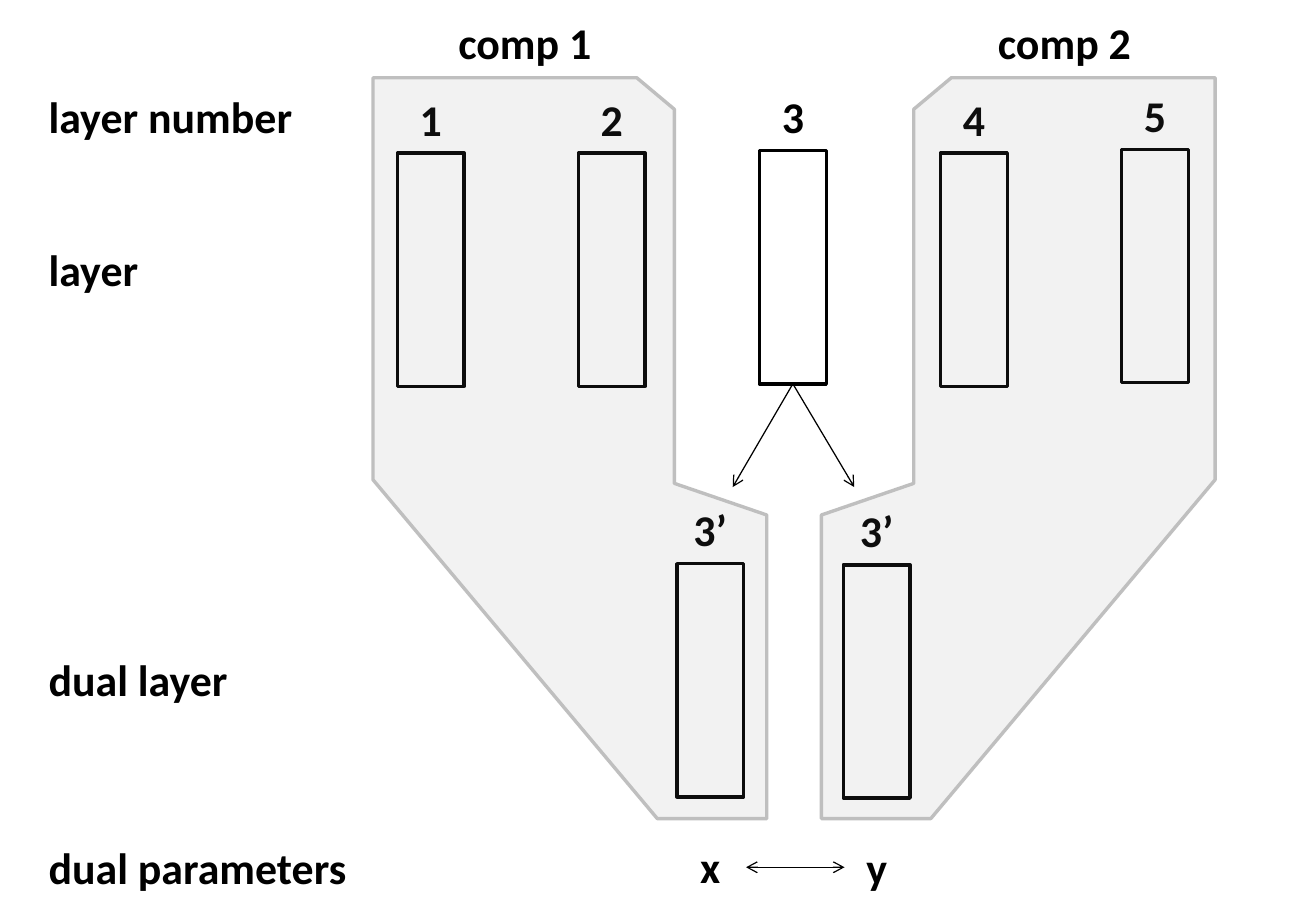
"""Build the slide of two network components that share a dual layer."""
from lxml.etree import SubElement
from pptx import Presentation
from pptx.dml.color import RGBColor
from pptx.enum.shapes import MSO_CONNECTOR as Connector, MSO_SHAPE as Shape
from pptx.enum.text import MSO_AUTO_SIZE as AutoSize, PP_ALIGN as Align
from pptx.oxml.ns import qn
from pptx.util import Emu, Pt

PX = 9144
COLOURS = {"ink": "000000", "paper": "FFFFFF", "area": "808080", "edge": "BFBFBF"}
MIDDLE_TWICE = 1307


def px(*lengths):
    return [Emu(length * PX) for length in lengths]


class Diagram:
    font, size = "Calibri", Pt(26)
    box_width, box_height, label_height = 55, 192, 55

    def __init__(self, page):
        self.page = page

    def colour(self, name):
        return RGBColor.from_string(COLOURS[name])

    def paint(self, shape, fill, line):
        shape.shadow.inherit = False
        shape.fill.solid()
        shape.fill.fore_color.rgb = self.colour(fill)
        shape.line.color.rgb = self.colour(line)
        shape.line.width = Pt(2)

    def text(self, words, left, top, width, align=Align.LEFT):
        box = self.page.shapes.add_textbox(*px(left, top, width, self.label_height))
        frame = box.text_frame
        frame.word_wrap = True
        frame.auto_size = AutoSize.SHAPE_TO_FIT_TEXT
        frame.margin_left, frame.margin_top, frame.margin_right, frame.margin_bottom = px(11, 5, 11, 5)
        para = frame.paragraphs[0]
        para.text = words
        para.alignment = align
        para.font.name, para.font.size, para.font.bold = self.font, self.size, True
        para.font.color.rgb = self.colour("ink")

    def layer(self, number, left, top):
        box = self.page.shapes.add_shape(
            Shape.RECTANGLE, *px(left, top, self.box_width, self.box_height))
        self.paint(box, "paper", "ink")
        self.text(number, left, top - self.label_height, self.box_width, Align.CENTER)
        return box

    def arrow(self, start, end, ends=("tailEnd",), source=None):
        line = self.page.shapes.add_connector(Connector.STRAIGHT, *px(*start, *end))
        if source is not None:
            line.begin_connect(source, 2)
        line.line.color.rgb = self.colour("ink")
        line.line.width = Pt(0.75)
        for end_name in ends:
            SubElement(line.line._get_or_add_ln(), qn(f"a:{end_name}"), type="arrow")
        SubElement(line._element.spPr, qn("a:effectLst"))

    def area(self, points):
        builder = self.page.shapes.build_freeform(*points[0], scale=PX)
        builder.add_line_segments(points[1:], close=True)
        shape = builder.convert_to_shape()
        self.paint(shape, "area", "edge")
        fill_colour = shape._element.spPr.find(qn("a:solidFill"))[0]
        SubElement(fill_colour, qn("a:alpha"), val="10000")


def main():
    deck = Presentation()
    deck.slide_width, deck.slide_height = px(1083, 750)
    diagram = Diagram(deck.slides.add_slide(deck.slide_layouts[6]))

    layers = [diagram.layer(str(index + 1), 327 + 149 * index, top)
              for index, top in enumerate((126, 126, 124, 126, 123))]
    for left, top in ((557, 464), (694, 465)):
        diagram.layer("3’", left, top)

    for words, top, width in (("layer number", 69, 232), ("layer", 195, 232),
                              ("dual layer", 532, 232), ("dual parameters", 687, 274)):
        diagram.text(words, 29, top, width)
    for words, left, top in (("x", 557, 686), ("y", 694, 687)):
        diagram.text(words, left, top, 55, Align.CENTER)

    for tip in (603, 703):
        diagram.arrow((653, 316), (tip, 401), source=layers[2])
    diagram.arrow((614, 714), (695, 714), ends=("headEnd", "tailEnd"))

    outline = [(524, 64), (555, 90), (555, 398), (631, 424),
               (631, 674), (541, 674), (307, 395), (307, 64)]
    diagram.area([(MIDDLE_TWICE - x, y) for x, y in outline])
    diagram.area(outline)
    for words, left in (("comp 1", 308), ("comp 2", 752)):
        diagram.text(words, left, 8, 248, Align.CENTER)

    deck.save("out.pptx")


if __name__ == "__main__":
    main()
